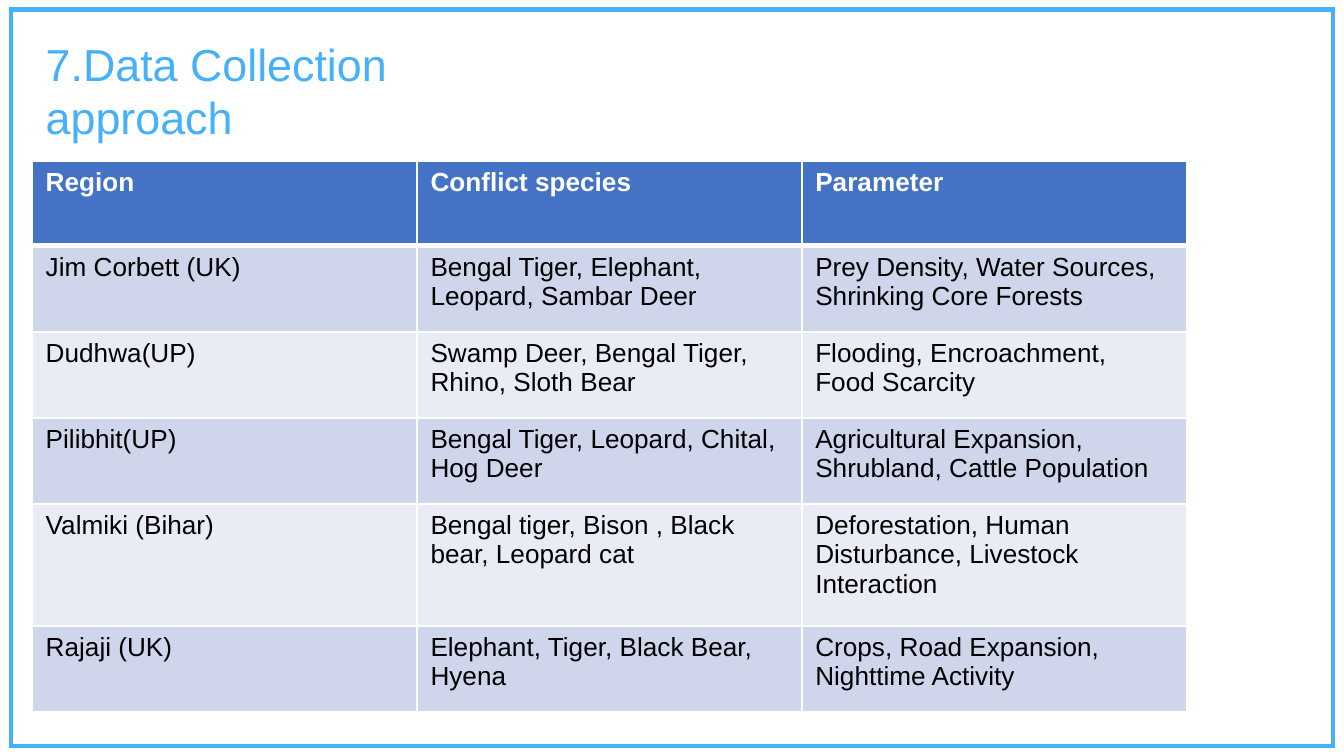
from dataclasses import dataclass

from lxml.etree import SubElement
from pptx import Presentation
from pptx.dml.color import RGBColor as Color
from pptx.enum.shapes import MSO_SHAPE as Shape
from pptx.enum.text import MSO_ANCHOR as Anchor, MSO_AUTO_SIZE as AutoSize, PP_ALIGN as Align
from pptx.oxml.ns import qn
from pptx.util import Inches, Pt


@dataclass(frozen=True)
class Theme:
    font: str = "Arial"
    accent: str = "46B0F9"
    header: str = "4472C4"
    bands: tuple = ("CFD5EA", "E9EBF5")
    light: str = "FFFFFF"
    dark: str = "000000"
    title_size: int = 24
    table_size: int = 14
    frame_width: float = 2.25
    rule: float = 1
    header_rule: float = 3


THEME = Theme()
WIDTH = 10
HEIGHT = WIDTH * 9 / 16
LEFT = 0.24  # shared left edge of title and table
TABLE_TOP, TABLE_WIDTH = 1.2, 8.59
ROW_HEIGHTS = (0.63, 0.64, 0.64, 0.64, 0.91, 0.64)

ROWS = (
    ("Region", "Conflict species", "Parameter"),
    ("Jim Corbett (UK)", "Bengal Tiger, Elephant, Leopard, Sambar Deer",
     "Prey Density, Water Sources, Shrinking Core Forests"),
    ("Dudhwa(UP)", "Swamp Deer, Bengal Tiger, Rhino, Sloth Bear",
     "Flooding, Encroachment, Food Scarcity"),
    ("Pilibhit(UP)", "Bengal Tiger, Leopard, Chital, Hog Deer",
     "Agricultural Expansion, Shrubland, Cattle Population"),
    ("Valmiki (Bihar)", "Bengal tiger, Bison , Black bear, Leopard cat",
     "Deforestation, Human Disturbance, Livestock Interaction"),
    ("Rajaji (UK)", "Elephant, Tiger, Black Bear, Hyena",
     "Crops, Road Expansion, Nighttime Activity"),
)


def add_run(para, text, size, color, bold=False):
    span = para.add_run()
    span.text = text
    span.font.name = THEME.font
    span.font.size = Pt(size)
    span.font.bold = bold
    span.font.color.rgb = Color.from_string(color)


def add_frame(page):
    box = page.shapes.add_shape(Shape.RECTANGLE, Inches(0.08), Inches(0.07),
                                Inches(WIDTH - 0.16), Inches(5.48))
    box.shadow.inherit = False
    box.fill.background()
    box.line.color.rgb = Color.from_string(THEME.accent)
    box.line.width = Pt(THEME.frame_width)
    # Square corners
    SubElement(box.line._get_or_add_ln(), qn("a:miter"), lim="800000")


def set_title(page, text):
    box = page.shapes.title
    box.left, box.top = Inches(LEFT), Inches(0.22)
    box.width, box.height = Inches(3.39), Inches(0.91)
    frame = box.text_frame
    frame.word_wrap = True
    frame.auto_size = AutoSize.NONE
    frame.vertical_anchor = Anchor.TOP
    para = frame.paragraphs[0]
    para.alignment = Align.LEFT
    add_run(para, text, THEME.title_size, THEME.accent)


def set_borders(cell, top, bottom):
    properties = cell._tc.get_or_add_tcPr()
    widths = {"a:lnL": THEME.rule, "a:lnR": THEME.rule, "a:lnT": top, "a:lnB": bottom}
    for tag, width in widths.items():
        line = SubElement(properties, qn(tag), w=str(Pt(width)))
        fill = SubElement(line, qn("a:solidFill"))
        SubElement(fill, qn("a:srgbClr"), val=THEME.light)


def fill_cell(cell, text, row):
    is_header = row == 0
    # The heavy rule lies between the header and the first body row
    set_borders(cell,
                top=THEME.header_rule if row == 1 else THEME.rule,
                bottom=THEME.header_rule if is_header else THEME.rule)
    cell.fill.solid()
    fill = THEME.header if is_header else THEME.bands[(row - 1) % 2]
    cell.fill.fore_color.rgb = Color.from_string(fill)
    add_run(cell.text_frame.paragraphs[0], text, THEME.table_size,
            THEME.light if is_header else THEME.dark, bold=is_header)


def add_region_table(page):
    columns = len(ROWS[0])
    table = page.shapes.add_table(
        len(ROWS), columns, Inches(LEFT), Inches(TABLE_TOP),
        Inches(TABLE_WIDTH), Inches(sum(ROW_HEIGHTS))).table
    for column in table.columns:
        column.width = Inches(TABLE_WIDTH / columns)
    for row, (texts, height) in enumerate(zip(ROWS, ROW_HEIGHTS)):
        table.rows[row].height = Inches(height)
        for column, text in enumerate(texts):
            fill_cell(table.cell(row, column), text, row)


def main():
    deck = Presentation()
    deck.slide_width, deck.slide_height = Inches(WIDTH), Inches(HEIGHT)
    page = deck.slides.add_slide(deck.slide_layouts[5])  # title only

    add_frame(page)
    set_title(page, "7.Data Collection approach")
    add_region_table(page)

    deck.save("out.pptx")


if __name__ == "__main__":
    main()
